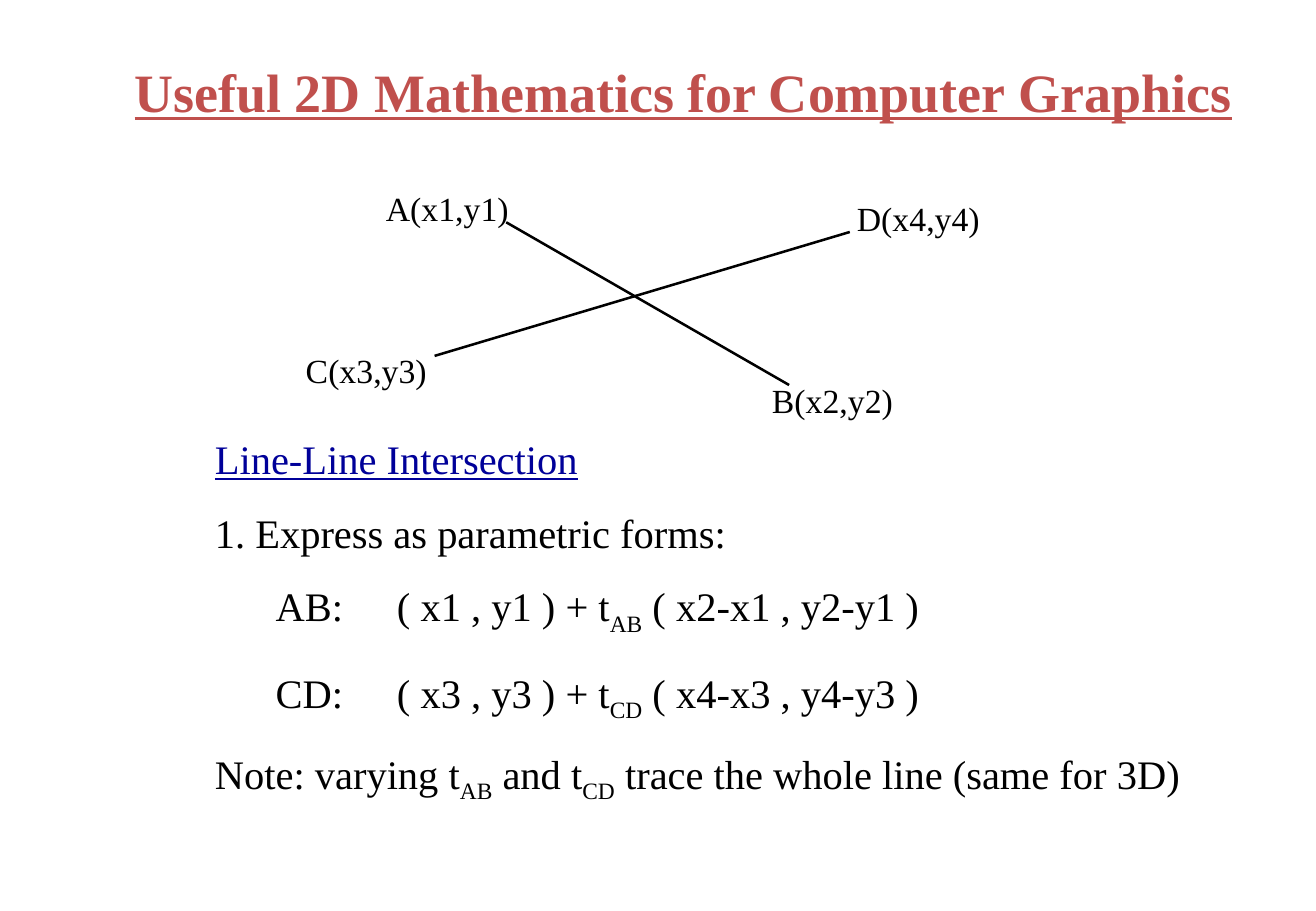
from lxml import etree
from pptx import Presentation
from pptx.dml.color import RGBColor
from pptx.enum.shapes import MSO_CONNECTOR
from pptx.enum.text import MSO_ANCHOR, MSO_AUTO_SIZE, PP_ALIGN
from pptx.oxml.ns import qn
from pptx.util import Inches, Pt

STRAIGHT = MSO_CONNECTOR.STRAIGHT
TOP = MSO_ANCHOR.TOP
NO_FIT = MSO_AUTO_SIZE.NONE
LEFT = PP_ALIGN.LEFT

# Content
FONT = "Times New Roman"
COLORS = {"title": "C0504D", "heading": "000099", "text": "000000"}
TITLE = "Useful 2D Mathematics for Computer Graphics"
HEADING = "Line-Line Intersection"
# Each line: space before in points, then runs of (text, is subscript)
STEPS = [
    (15, [("1. Express as parametric forms:", False)]),
    (15, [("\tAB:\t( x1 , y1 ) + t", False), ("AB", True),
          (" ( x2-x1 , y2-y1 )", False)]),
    (18.5, [("\tCD:\t( x3 , y3 ) + t", False), ("CD", True),
            (" ( x4-x3 , y4-y3 )", False)]),
    (15, [("Note: varying t", False), ("AB", True), (" and t", False),
          ("CD", True), (" trace the whole line (same for 3D)", False)]),
]
FORMULA_TABS = (0.49, 1.21)
SEGMENTS = [((3.58, 2.93), (7, 1.91)), ((4.17, 1.83), (6.5, 3.17))]
POINT_LABELS = [
    ("A(x1,y1)", 3.08, 1.5),
    ("B(x2,y2)", 6.26, 3.08),
    ("D(x4,y4)", 6.96, 1.58),
    ("C(x3,y3)", 2.42, 2.83),
]


def place(s, left, top, width, height):
    s.left, s.top = Inches(left), Inches(top)
    s.width, s.height = Inches(width), Inches(height)
    tf = s.text_frame
    tf.auto_size = NO_FIT
    tf.vertical_anchor = TOP
    tf.word_wrap = True
    return tf


def add_run(p, text, size, color, bold=False, underline=False, sub=False):
    r = p.add_run()
    r.text = text
    r.font.name = FONT
    r.font.size = Pt(size)
    r.font.bold = bold
    r.font.underline = underline
    r.font.color.rgb = RGBColor.from_string(COLORS[color])
    if sub:
        r._r.get_or_add_rPr().set("baseline", "-25000")


def format_line(p, before):
    p.alignment = LEFT
    p.space_before = Pt(before)
    pPr = p._p.get_or_add_pPr()
    pPr.set("marL", "0")
    pPr.set("indent", "0")
    etree.SubElement(pPr, qn("a:buNone"))
    tabs = etree.SubElement(pPr, qn("a:tabLst"))
    for pos in FORMULA_TABS:
        etree.SubElement(tabs, qn("a:tab"), pos=str(Inches(pos)), algn="l")


prs = Presentation()
prs.slide_width, prs.slide_height = Inches(10.84), Inches(7.5)
slide = prs.slides.add_slide(prs.slide_layouts[1])

# Title
p = place(slide.shapes.title, 1.01, 0.43, 9.49, 0.64).paragraphs[0]
p.alignment = LEFT
add_run(p, TITLE, 32, "title", bold=True, underline=True)

# Heading and parametric forms
tf = place(slide.placeholders[1], 1.67, 3.52, 8.75, 3.16)
p = tf.paragraphs[0]
format_line(p, 0)
add_run(p, HEADING, 24, "heading", underline=True)
for before, runs in STEPS:
    p = tf.add_paragraph()
    format_line(p, before)
    for text, sub in runs:
        add_run(p, text, 24, "text", sub=sub)

# Crossing segments
for start, end in SEGMENTS:
    s = slide.shapes.add_connector(STRAIGHT, *map(Inches, start + end))
    s.line.color.rgb = RGBColor.from_string(COLORS["text"])
    s.line.width = Pt(1.5)
    etree.SubElement(s._element.spPr, qn("a:effectLst"))

# End point labels
for text, left, top in POINT_LABELS:
    s = slide.shapes.add_textbox(0, 0, 0, 0)
    tf = place(s, left, top, 1.21, 0.44)
    tf.word_wrap = False
    add_run(tf.paragraphs[0], text, 20, "text")

prs.save("out.pptx")
